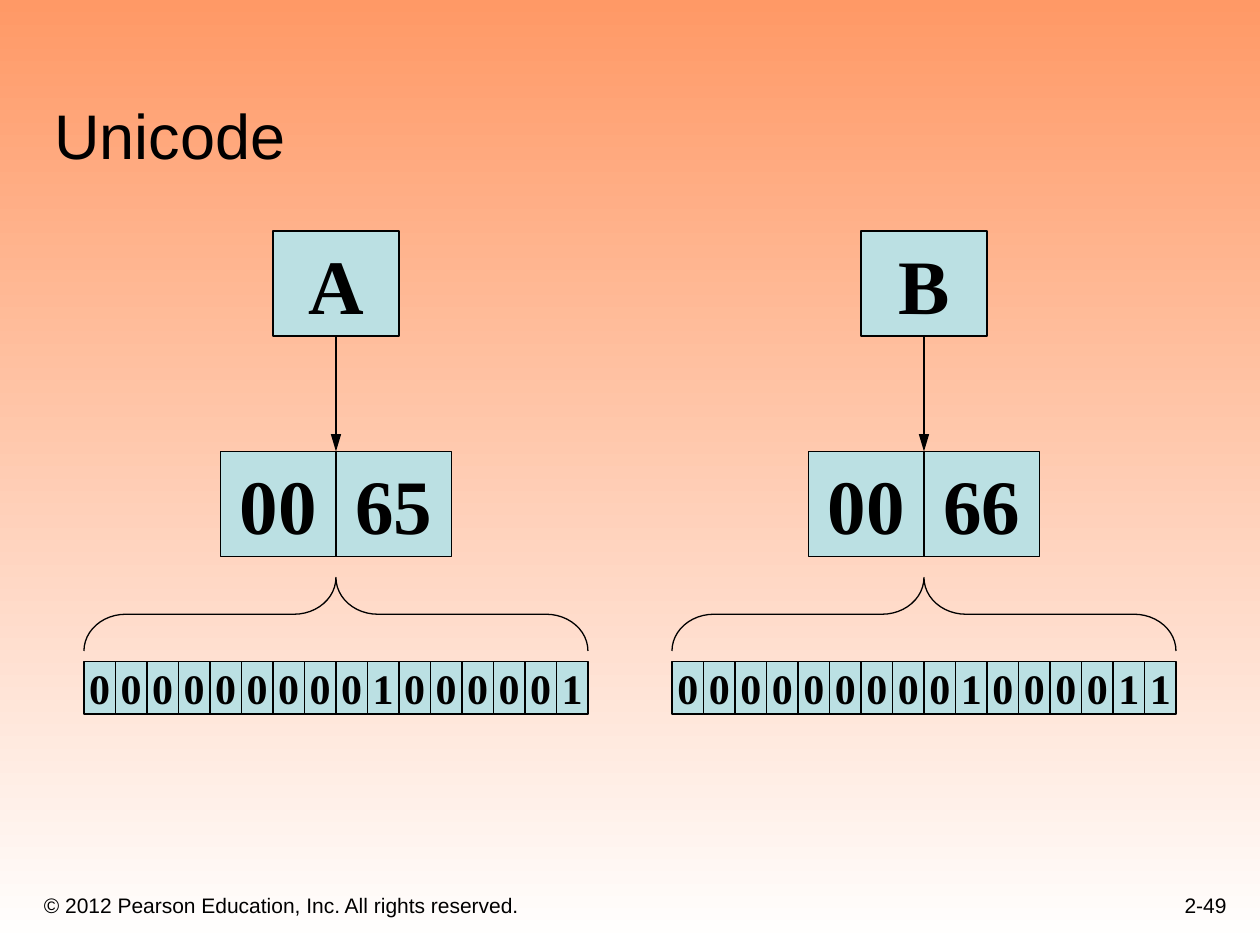
from lxml import etree
from pptx import Presentation
from pptx.dml.color import RGBColor
from pptx.enum.shapes import MSO_CONNECTOR, MSO_SHAPE
from pptx.enum.text import MSO_ANCHOR, PP_ALIGN
from pptx.oxml.ns import qn
from pptx.util import Pt

PX = 9525
RECT, BRACE = MSO_SHAPE.RECTANGLE, MSO_SHAPE.RIGHT_BRACE
STRAIGHT = MSO_CONNECTOR.STRAIGHT
MIDDLE, BOTTOM = MSO_ANCHOR.MIDDLE, MSO_ANCHOR.BOTTOM
LEFT, CENTER, RIGHT = PP_ALIGN.LEFT, PP_ALIGN.CENTER, PP_ALIGN.RIGHT
COLORS = {"top": "FF9966", "base": "FFFFFF", "cell": "BBE0E3", "ink": "000000"}
INK = RGBColor.from_string(COLORS["ink"])

prs = Presentation()
prs.slide_width, prs.slide_height = 960 * PX, 720 * PX
slide = prs.slides.add_slide(prs.slide_layouts[6])
shapes = slide.shapes

back = slide.background.fill
back.gradient()
back.gradient_angle = 270
for stop, name, spot in zip(back.gradient_stops, ("top", "base"), (0, 1)):
    stop.color.rgb = RGBColor.from_string(COLORS[name])
    stop.position = spot


def write(shape, text, size, face, align, anchor):
    """Fill a shape with one styled paragraph; return its frame and font."""
    frame = shape.text_frame
    frame.text = text
    frame.vertical_anchor = anchor
    frame.paragraphs[0].alignment = align
    font = frame.paragraphs[0].runs[0].font
    font.size, font.name = Pt(size), face
    font.color.rgb = INK
    return frame, font


def add_cell(x, y, w, h, text, size):
    cell = shapes.add_shape(RECT, x * PX, y * PX, w * PX, h * PX)
    cell.shadow.inherit = False
    cell.fill.solid()
    cell.fill.fore_color.rgb = RGBColor.from_string(COLORS["cell"])
    cell.line.color.rgb = INK
    cell.line.width = Pt(0.75)
    frame, font = write(cell, text, size, "Times New Roman", CENTER, MIDDLE)
    frame.word_wrap = False
    font.bold = True


labels = [
    (24, 664, 584, 40, "© 2012 Pearson Education, Inc. All rights reserved.", 12, LEFT),
    (744, 656, 200, 48, "2-49", 12, RIGHT),
    (32, 32, 904, 104, "Unicode", 36, LEFT),
]
for x, y, w, h, text, size, align in labels:
    box = shapes.add_textbox(x * PX, y * PX, w * PX, h * PX)
    frame, font = write(box, text, size, "Arial", align, BOTTOM)
    frame.word_wrap = True

# Centre line, letter, two bytes, 16 bits
codes = [
    (256, "A", ("00", "65"), "0000000001000001"),
    (704, "B", ("00", "66"), "0000000001000011"),
]
for mid, letter, pair, bits in codes:
    add_cell(mid - 48, 176, 96, 80, letter, 44)
    for i, byte in enumerate(pair):
        add_cell(mid - 88 + 88 * i, 344, 88, 80, byte, 44)

    arrow = shapes.add_connector(STRAIGHT, mid * PX, 256 * PX, mid * PX, 344 * PX)
    arrow.line.color.rgb = INK
    arrow.line.width = Pt(1.5)
    props = arrow._element.spPr
    etree.SubElement(props.find(qn("a:ln")), qn("a:tailEnd"), type="triangle", len="lg")
    etree.SubElement(props, qn("a:effectLst"))

    for i, bit in enumerate(bits):
        add_cell(mid - 192 + 24 * i, 504, 24, 40, bit, 24)

    brace = shapes.add_shape(BRACE, (mid - 28) * PX, 276 * PX, 56 * PX, 384 * PX)
    brace.rotation = 270
    brace.adjustments[0] = 0.57
    brace.shadow.inherit = False
    brace.fill.background()
    brace.line.color.rgb = INK
    brace.line.width = Pt(0.75)

prs.save("out.pptx")
